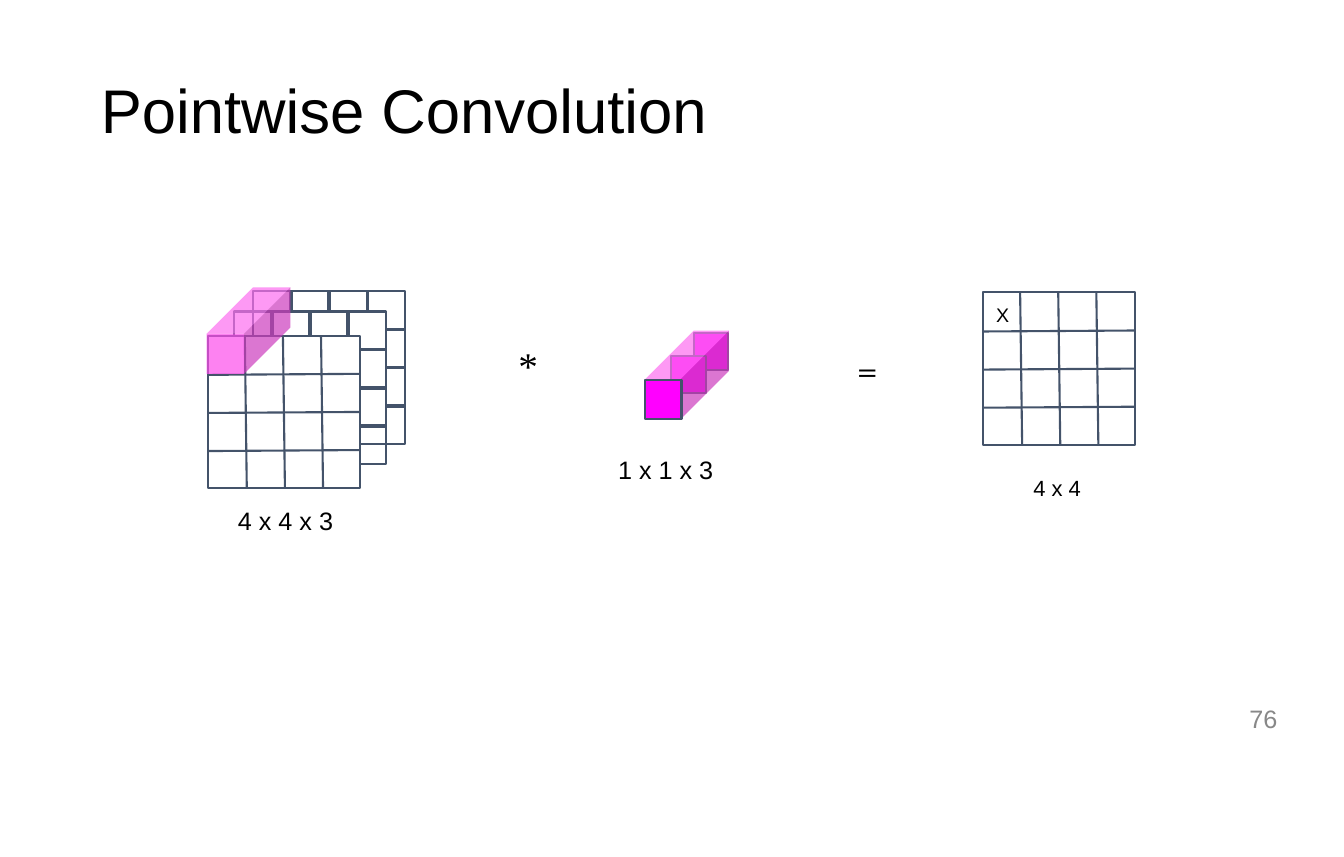
from lxml.etree import SubElement
from pptx import Presentation
from pptx.dml.color import RGBColor
from pptx.enum.shapes import MSO_CONNECTOR, MSO_SHAPE
from pptx.enum.text import MSO_ANCHOR, PP_ALIGN
from pptx.oxml.ns import qn
from pptx.util import Inches, Pt

INK = RGBColor(0x44, 0x53, 0x6A)
BLACK = RGBColor(0, 0, 0)
GRAY = RGBColor(0x88, 0x88, 0x88)
WHITE = RGBColor(255, 255, 255)
PINK = RGBColor(255, 0, 255)
FRONT = RGBColor(0xFD, 0x4D, 0xEC)
SIDE = RGBColor(0xCC, 0x3D, 0xBE)
TOP = RGBColor(0xFD, 0x6F, 0xF0)

COUNT = 4
CELL = 0.378
SIZE = COUNT * CELL

deck = Presentation()
deck.slide_width, deck.slide_height = Inches(13.33), Inches(8.5)
slide = deck.slides.add_slide(deck.slide_layouts[5])
shapes = slide.shapes


def block(points, fill=None, line=None, alpha=None):
    """Draw a rectangle from two corners, or a polygon from more."""
    spots = [(Inches(x), Inches(y)) for x, y in points]
    if len(spots) == 2:
        (x, y), (right, base) = spots
        shape = shapes.add_shape(MSO_SHAPE.RECTANGLE, x, y, right - x, base - y)
    else:
        path = shapes.build_freeform(*spots[0])
        path.add_line_segments(spots[1:], close=True)
        shape = path.convert_to_shape()
    shape.shadow.inherit = False
    if fill is None:
        shape.fill.background()
    else:
        shape.fill.solid()
        shape.fill.fore_color.rgb = fill
    if alpha:
        color = shape.fill._xPr.find(qn("a:solidFill"))[0]
        SubElement(color, qn("a:alpha")).set("val", str(alpha * 1000))
    if line is None:
        shape.line.fill.background()
    else:
        shape.line.color.rgb = line
        shape.line.width = Pt(1.5)


def rule(x1, y1, x2, y2, width):
    """Draw one grid line."""
    ends = [Inches(n) for n in (x1, y1, x2, y2)]
    line = shapes.add_connector(MSO_CONNECTOR.STRAIGHT, *ends)
    line.line.color.rgb = INK
    line.line.width = Pt(width)
    SubElement(line._element.spPr, qn("a:effectLst"))


# Rear sheets of the input: only the strips beside the next sheet have grid lines
sheets = [(2.51, 2.89), (2.32, 3.09), (2.06, 3.33)]
for (x, y), (left, top) in zip(sheets, sheets[1:]):
    block([(x, y), (x + SIZE, y + SIZE)], line=INK)
    for i in range(1, COUNT):
        rule(left + SIZE, y + i * CELL, x + SIZE, y + i * CELL, 2.6)
        rule(x + i * CELL, y, x + i * CELL, top, 2.6)

# Full grids: front sheet of the input, and the output
for x, y in (sheets[-1], (9.75, 2.9)):
    block([(x, y), (x + SIZE, y + SIZE)], WHITE, INK)
    for i in range(1, COUNT):
        step = i * CELL
        rule(x, y + step + 0.01, x + SIZE, y + step, 1.5)
        rule(x + step - 0.01, y, x + step + 0.01, y + SIZE, 1.5)

# Rear cells of the kernel
for x, y in ((6.88, 3.3), (6.66, 3.53)):
    block([(x, y), (x + 0.34, y + 0.37)], PINK, INK)

# Clear bars: top and side faces run back by the same depth
bars = [(2.05, 3.31, 0.37, 0.46), (6.4, 3.76, 0.35, 0.48)]
for x, y, wide, deep in bars:
    right, base = x + wide, y + 0.4
    block([(right + deep, y - deep), (right, y), (right, base),
           (right + deep, base - deep)], SIDE, alpha=70)
    block([(right + deep, y - deep), (x + deep, y - deep), (x, y),
           (right, y)], TOP, alpha=70)

# Front faces: clear on the input, solid on the kernel
block([(2.05, 3.31), (2.42, 3.71)], FRONT, alpha=70)
block([(6.4, 3.77), (6.76, 4.16)], PINK, INK)

# Title, labels and page number
title = shapes.title
title.left, title.top = Inches(1), Inches(0.7)
title.width, title.height = Inches(6.41), Inches(0.76)
texts = [
    (title, "Pointwise Convolution", 44, "Arial", BLACK),
    ((5.14, 3.38, 0.22, 0.49), "*", 28, "Times New Roman", BLACK),
    ((8.5, 3.43, 0.26, 0.48), "=", 27, "Cambria", BLACK),
    ((2.36, 5, 0.97, 0.33), "4 x 4 x 3", 18, "Arial", BLACK),
    ((6.13, 4.5, 0.97, 0.33), "1 x 1 x 3", 18, "Arial", BLACK),
    ((10.25, 4.65, 0.97, 0.33), "4 x 4", 27, "Arial", BLACK),
    ((9.88, 2.99, 0.19, 0.24), "X", 14, "Arial", BLACK),
    ((9.6, 6.97, 3.07, 0.38), "76", 18, "Arial", GRAY),
]
for place, words, size, face, color in texts:
    box = place if place is title else shapes.add_textbox(*map(Inches, place))
    frame = box.text_frame
    frame.word_wrap = True
    frame.vertical_anchor = MSO_ANCHOR.TOP
    frame.margin_left = frame.margin_right = frame.margin_bottom = 0
    frame.margin_top = Inches(0.01)
    para = frame.paragraphs[0]
    para.alignment = PP_ALIGN.RIGHT if words == "76" else PP_ALIGN.LEFT
    run = para.add_run()
    run.text = words
    run.font.size, run.font.name = Pt(size), face
    run.font.color.rgb = color
    if words == "4 x 4":
        run._r.get_or_add_rPr().set("baseline", "30000")

deck.save("out.pptx")
